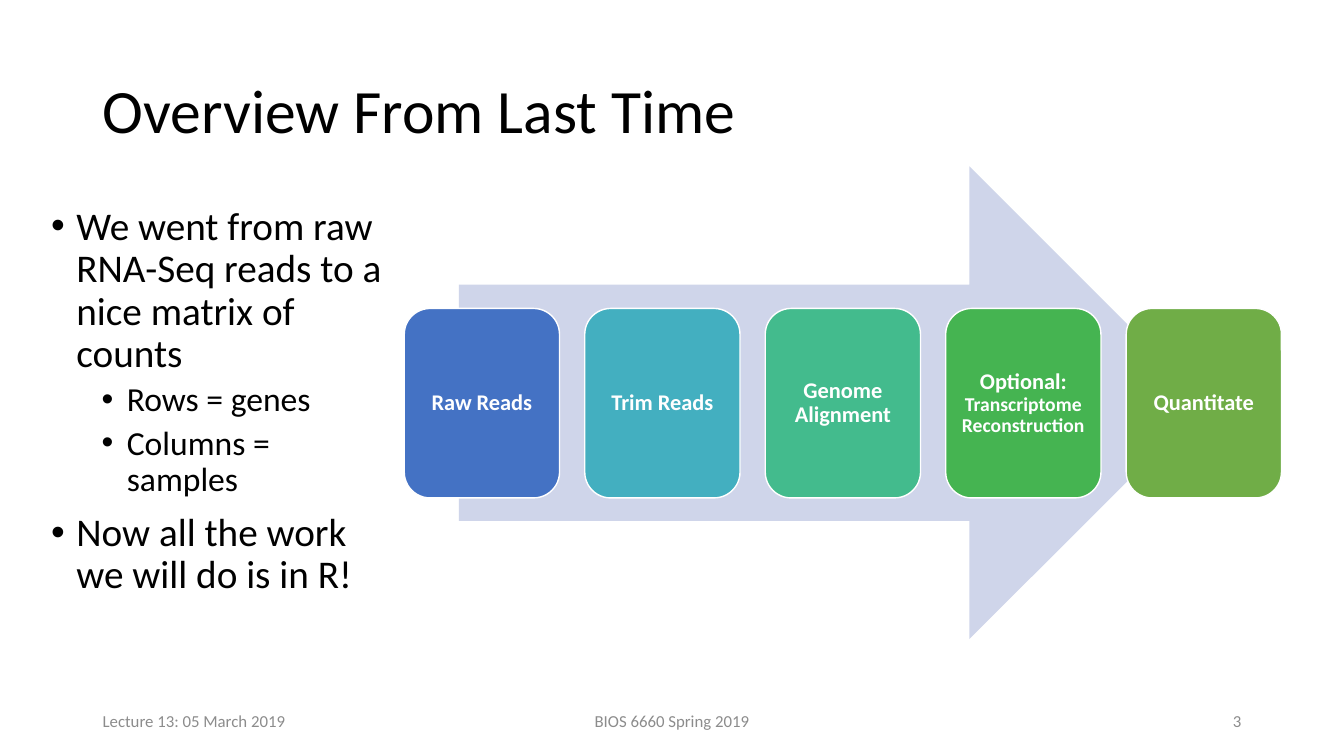
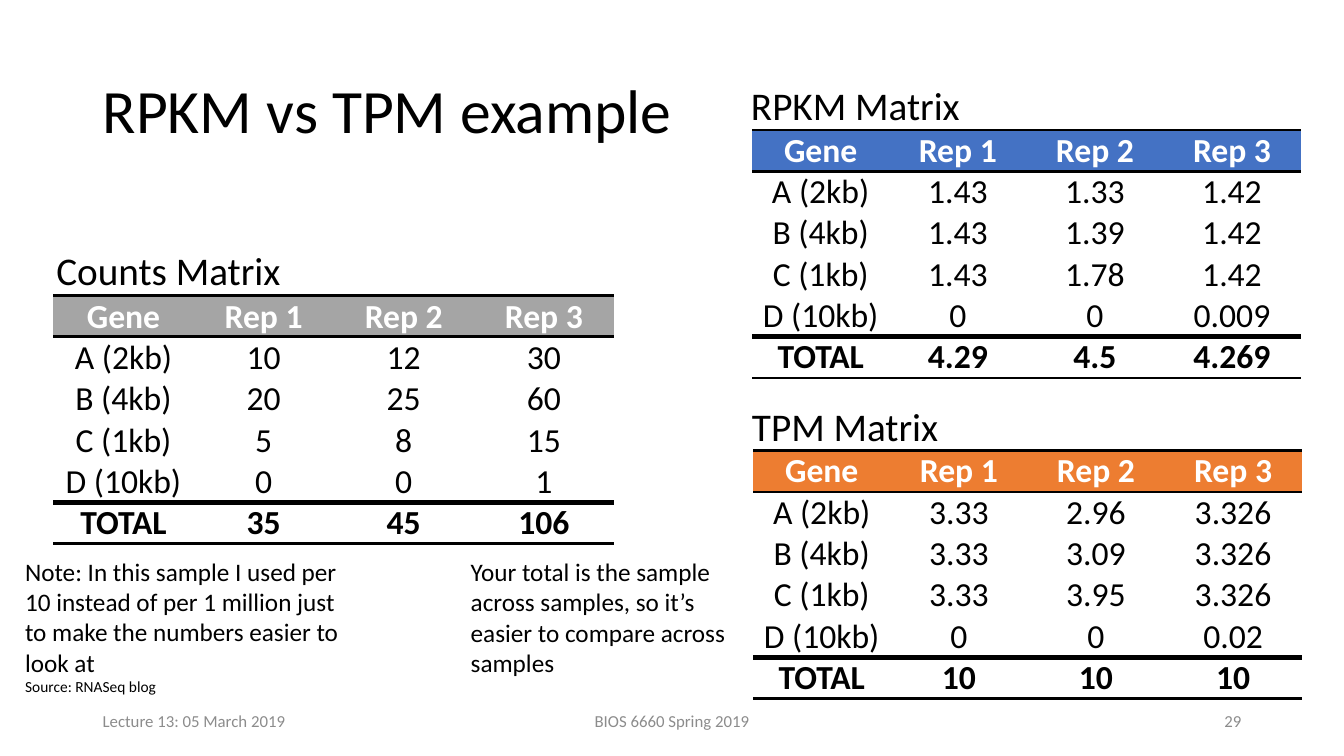
from dataclasses import dataclass

from lxml import etree
from pptx import Presentation
from pptx.dml.color import RGBColor
from pptx.enum.shapes import MSO_SHAPE
from pptx.enum.text import MSO_ANCHOR, PP_ALIGN
from pptx.oxml.ns import qn
from pptx.util import Inches, Pt

LEFT, CENTER, RIGHT = PP_ALIGN.LEFT, PP_ALIGN.CENTER, PP_ALIGN.RIGHT
TOP, MIDDLE, BOTTOM = MSO_ANCHOR.TOP, MSO_ANCHOR.MIDDLE, MSO_ANCHOR.BOTTOM
ROUNDED, ARROW = MSO_SHAPE.ROUNDED_RECTANGLE, MSO_SHAPE.RIGHT_ARROW
PLAIN_TABLE_STYLE = "{2D5ABB26-0587-4C30-8999-92F81FD0307C}"


@dataclass(frozen=True)
class Theme:
    font: str = "Calibri"
    ink: str = "000000"
    paper: str = "FFFFFF"
    muted: str = "8C8C8C"
    arrow: str = "CFD5EA"
    title: int = 44
    heading: int = 28
    cell: int = 24
    note: int = 18
    step: int = 16
    step_detail: int = 14
    footer: int = 12
    source: int = 11


THEME = Theme()
WIDTH, HEIGHT = 13.33, 7.5
MARGIN = 0.92
TITLE_BOX = (MARGIN, 0.4, 11.5, 1.45)
FOOTER_TOP, FOOTER_HEIGHT = 6.95, 0.4

LECTURE = "Lecture 13: 05 March 2019"
COURSE = "BIOS 6660 Spring 2019"

# Each bullet: level, text
OVERVIEW = [
    (0, "We went from raw RNA-Seq reads to a nice matrix of counts"),
    (1, "Rows = genes"),
    (1, "Columns = samples"),
    (0, "Now all the work we will do is in R!"),
]
BULLET_LEVELS = [
    {"size": THEME.heading, "indent": 0.25, "before": 10},
    {"size": THEME.cell, "indent": 0.75, "before": 5},
]
HANGING = 0.25

# Each step: fill, runs of (text, size)
STEPS = [
    ("4472C4", [("Raw Reads", THEME.step)]),
    ("43AFC0", [("Trim Reads", THEME.step)]),
    ("43BB8D", [("Genome Alignment", THEME.step)]),
    ("45B451", [("Optional: ", THEME.step),
                ("Transcriptome Reconstruction", THEME.step_detail)]),
    ("70AD47", [("Quantitate", THEME.step)]),
]
STEP_LEFT, STEP_TOP, STEP_PITCH = 4.01, 3.06, 1.79
STEP_WIDTH, STEP_HEIGHT = 1.54, 1.88

HEADER = ["Gene", "Rep 1", "Rep 2", "Rep 3"]
GENES = ["A (2kb)", "B (4kb)", "C (1kb)", "D (10kb)", "TOTAL"]
ROW_HEIGHT = 0.41
MATRICES = [
    {"name": "Counts Matrix", "name_at": (0.46, 2.39), "at": (0.53, 2.93),
     "column": 1.39, "color": "A5A5A5", "anchor": MIDDLE, "pad": 0.01,
     "values": ["10 12 30", "20 25 60", "5 8 15", "0 0 1", "35 45 106"]},
    {"name": "RPKM Matrix", "name_at": (7.35, 0.76), "at": (7.46, 1.29),
     "column": 1.36, "color": "4472C4", "anchor": BOTTOM, "pad": 0,
     "values": ["1.43 1.33 1.42", "1.43 1.39 1.42", "1.43 1.78 1.42",
                "0 0 0.009", "4.29 4.5 4.269"]},
    {"name": "TPM Matrix", "name_at": (7.36, 3.94), "at": (7.47, 4.47),
     "column": 1.36, "color": "ED7D31", "anchor": BOTTOM, "pad": 0,
     "values": ["3.33 2.96 3.326", "3.33 3.09 3.326", "3.33 3.95 3.326",
                "0 0 0.02", "10 10 10"]},
]

# Each note: box, paragraphs of (text, size)
NOTES = [
    ((0.15, 5.47, 3.32, 1.5),
     [("Note: In this sample I used per 10 instead of per 1 million just "
       "to make the numbers easier to look at", THEME.note),
      ("Source: RNASeq blog", THEME.source)]),
    ((4.57, 5.47, 2.99, 1.31),
     [("Your total is the sample across samples, so it’s easier to compare "
       "across samples", THEME.note)]),
]


def rgb(color):
    return RGBColor.from_string(color)


def add_bullet(paragraph, indent):
    properties = paragraph._p.get_or_add_pPr()
    properties.set("marL", str(Inches(indent)))
    properties.set("indent", str(-Inches(HANGING)))
    etree.SubElement(properties, qn("a:buFont")).set("typeface", "Arial")
    etree.SubElement(properties, qn("a:buChar")).set("char", "•")


def write(frame, runs, color=THEME.ink, bold=False, align=LEFT, spacing=None,
          before=0, indent=None, more=False):
    """Write runs of (text, size) as one paragraph; more adds it below the others."""
    paragraph = frame.add_paragraph() if more else frame.paragraphs[0]
    if indent is not None:
        add_bullet(paragraph, indent)
    paragraph.alignment = align
    if spacing:
        paragraph.line_spacing = spacing
    if more and before:
        paragraph.space_before = Pt(before)
    for text, size in runs:
        run = paragraph.add_run()
        run.text = text
        run.font.name, run.font.size, run.font.bold = THEME.font, Pt(size), bold
        run.font.color.rgb = rgb(color)


def add_box(slide, box, anchor=TOP, wrap=True):
    frame = slide.shapes.add_textbox(*map(Inches, box)).text_frame
    frame.word_wrap = wrap
    frame.vertical_anchor = anchor
    return frame


def add_block(slide, kind, box, fill, outline=None):
    block = slide.shapes.add_shape(kind, *map(Inches, box))
    block.shadow.inherit = False
    block.fill.solid()
    block.fill.fore_color.rgb = rgb(fill)
    if outline:
        block.line.color.rgb = rgb(outline)
        block.line.width = Pt(1)
    else:
        block.line.fill.background()
    return block


def add_slide(deck, title, number):
    slide = deck.slides.add_slide(deck.slide_layouts[6])
    write(add_box(slide, TITLE_BOX, MIDDLE), [(title, THEME.title)], spacing=0.9)
    footers = [
        (MARGIN, 3, LECTURE, LEFT),
        ((WIDTH - 4.5) / 2, 4.5, COURSE, CENTER),
        (WIDTH - MARGIN - 3, 3, str(number), RIGHT),
    ]
    for left, width, text, align in footers:
        frame = add_box(slide, (left, FOOTER_TOP, width, FOOTER_HEIGHT), MIDDLE)
        write(frame, [(text, THEME.footer)], THEME.muted, align=align)
    return slide


def rule_cell(cell, top, bottom):
    properties = cell._tc.get_or_add_tcPr()
    for place, (tag, points) in enumerate((("a:lnT", top), ("a:lnB", bottom))):
        line = etree.Element(qn(tag), w=str(Pt(points)))
        fill = etree.SubElement(line, qn("a:solidFill"))
        etree.SubElement(fill, qn("a:srgbClr")).set("val", THEME.ink)
        properties.insert(place, line)


def add_matrix(slide, matrix):
    rows = [HEADER] + [[gene, *values.split()]
                       for gene, values in zip(GENES, matrix["values"])]
    size = (matrix["column"] * len(HEADER), ROW_HEIGHT * len(rows))
    table = slide.shapes.add_table(
        len(rows), len(HEADER), *map(Inches, (*matrix["at"], *size))).table
    table.horz_banding = False
    table._tbl.tblPr.find(qn("a:tableStyleId")).text = PLAIN_TABLE_STYLE
    last = len(rows) - 1
    for r, row in enumerate(rows):
        for c, text in enumerate(row):
            cell = table.cell(r, c)
            cell.margin_left = cell.margin_right = Inches(0.01)
            cell.margin_top, cell.margin_bottom = Inches(matrix["pad"]), 0
            cell.vertical_anchor = matrix["anchor"]
            cell.fill.solid()
            cell.fill.fore_color.rgb = rgb(THEME.paper if r else matrix["color"])
            write(cell.text_frame, [(text, THEME.cell)],
                  THEME.ink if r else THEME.paper, bold=r in (0, last), align=CENTER)
            if r in (0, last):
                rule_cell(cell, top=4 if r else 2, bottom=2)
    name = add_box(slide, (*matrix["name_at"], 2.45, 0.57), wrap=False)
    write(name, [(matrix["name"], THEME.heading)])


def build_overview(deck):
    slide = add_slide(deck, "Overview From Last Time", 3)
    body = add_box(slide, (0.41, 2, 3.53, 4.76))
    for i, (level, text) in enumerate(OVERVIEW):
        style = BULLET_LEVELS[level]
        write(body, [(text, style["size"])], spacing=0.9, before=style["before"],
              indent=style["indent"], more=i > 0)
    add_block(slide, ARROW, (4.55, 1.65, 7.41, 4.69), THEME.arrow)
    for i, (fill, runs) in enumerate(STEPS):
        box = (STEP_LEFT + i * STEP_PITCH, STEP_TOP, STEP_WIDTH, STEP_HEIGHT)
        frame = add_block(slide, ROUNDED, box, fill, THEME.paper).text_frame
        frame.word_wrap = True
        frame.vertical_anchor = MIDDLE
        frame.margin_left = frame.margin_right = Inches(0.07)
        write(frame, runs, THEME.paper, bold=True, align=CENTER, spacing=0.9)


def build_comparison(deck):
    slide = add_slide(deck, "RPKM vs TPM example", 29)
    for matrix in MATRICES:
        add_matrix(slide, matrix)
    for box, paragraphs in NOTES:
        frame = add_box(slide, box)
        for i, paragraph in enumerate(paragraphs):
            write(frame, [paragraph], more=i > 0)


def main():
    deck = Presentation()
    deck.slide_width, deck.slide_height = Inches(WIDTH), Inches(HEIGHT)
    build_overview(deck)
    build_comparison(deck)
    deck.save("out.pptx")


if __name__ == "__main__":
    main()
